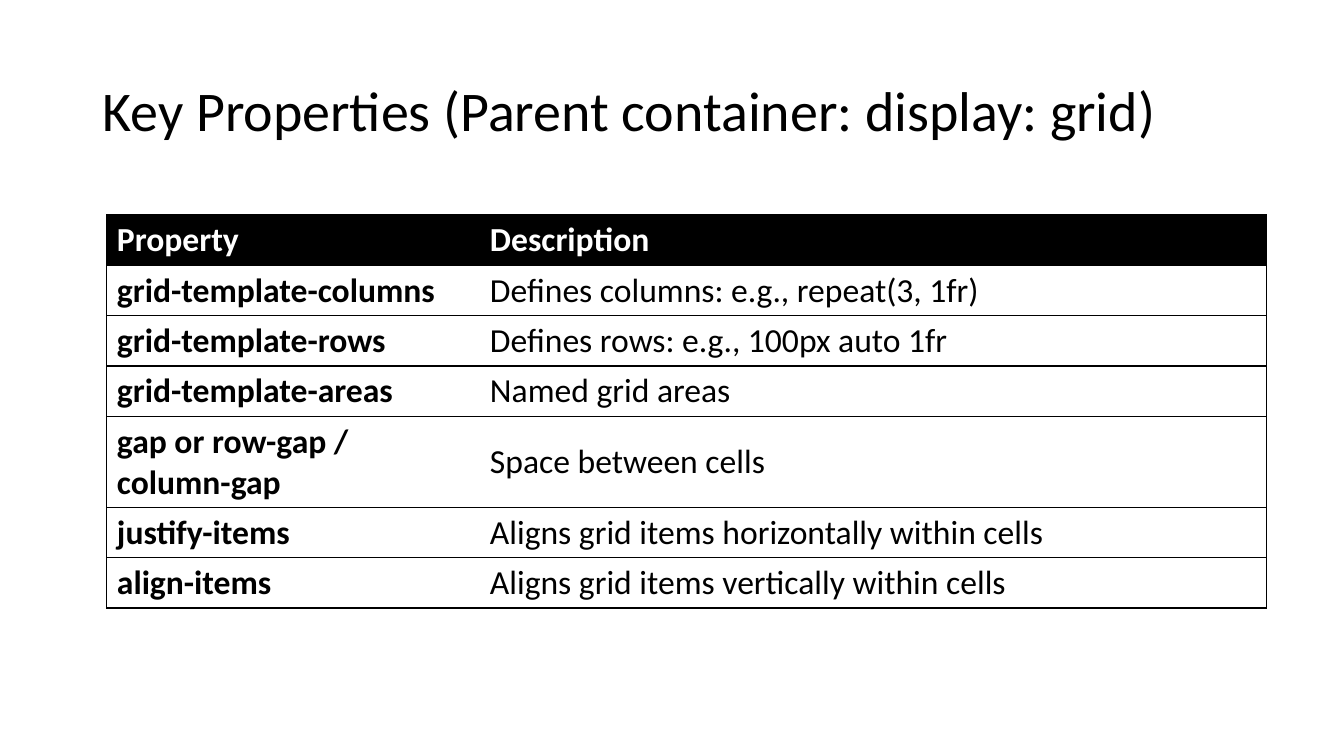
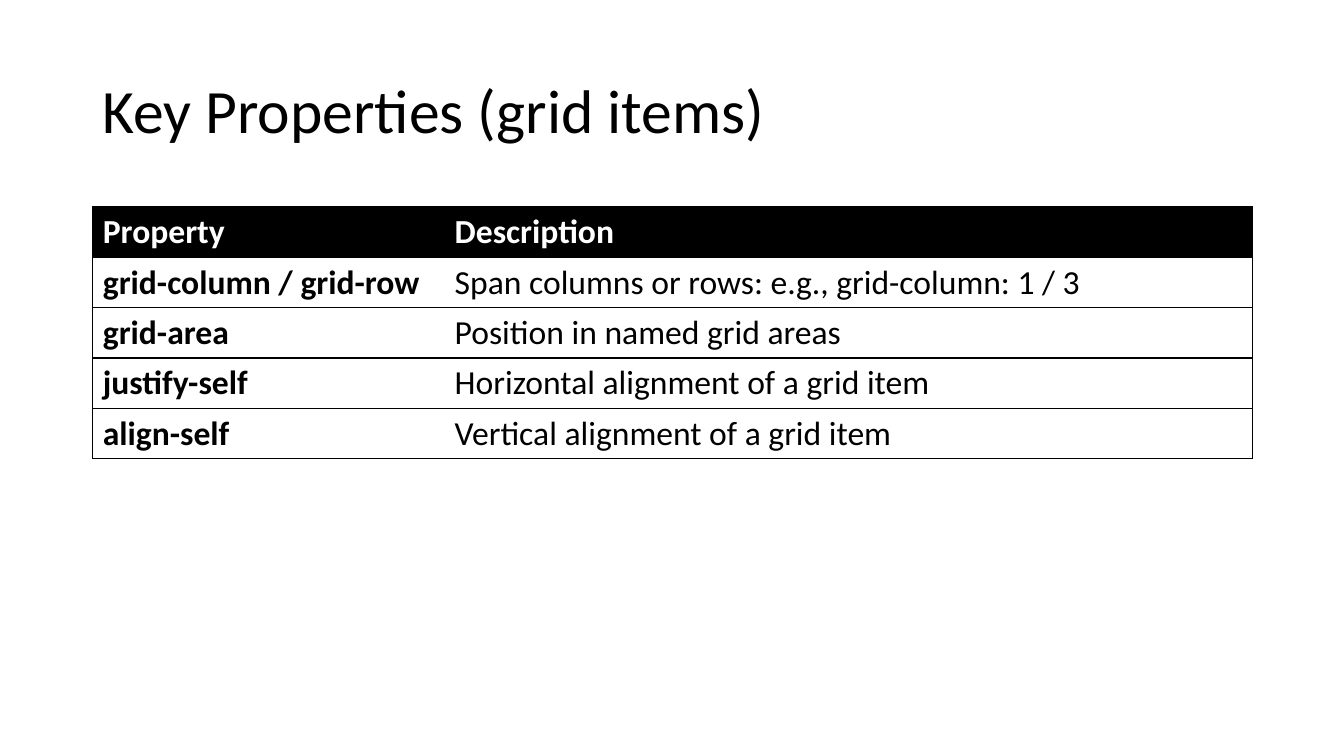
import pptx
import pptx.dml.color
import pptx.enum.text
import pptx.oxml
import pptx.oxml.ns
import pptx.util
from pptx.util import Inches

BLACK = pptx.dml.color.RGBColor(0x00, 0x00, 0x00)
WHITE = pptx.dml.color.RGBColor(0xFF, 0xFF, 0xFF)
FONT = "Calibri"
TABLE_SIZE = 24
TABLE_WIDTH = 11.5
ROW_HEIGHT = 0.5
BORDER_WIDTH = pptx.util.Pt(1)
HEADER = ("Property", "Description")

PARENT_PROPERTIES = [
    ("grid-template-columns", "Defines columns: e.g., repeat(3, 1fr)"),
    ("grid-template-rows", "Defines rows: e.g., 100px auto 1fr"),
    ("grid-template-areas", "Named grid areas"),
    ("gap or row-gap / column-gap", "Space between cells"),
    ("justify-items", "Aligns grid items horizontally within cells"),
    ("align-items", "Aligns grid items vertically within cells"),
]
ITEM_PROPERTIES = [
    ("grid-column / grid-row", "Span columns or rows: e.g., grid-column: 1 / 3"),
    ("grid-area", "Position in named grid areas"),
    ("justify-self", "Horizontal alignment of a grid item"),
    ("align-self", "Vertical alignment of a grid item"),
]


class Deck:
    """Holds the shared style and the current slide."""

    def __init__(self):
        self.presentation = pptx.Presentation()
        self.presentation.slide_width = Inches(13.33)
        self.presentation.slide_height = Inches(7.5)
        self.slide = None

    def add_slide(self):
        self.slide = self.presentation.slides.add_slide(self.presentation.slide_layouts[6])

    def add_run(self, paragraph, text, size, color=BLACK, bold=False):
        run = paragraph.add_run()
        run.text = text
        run.font.name = FONT
        run.font.size = pptx.util.Pt(size)
        run.font.bold = bold
        run.font.color.rgb = color

    def add_title(self, text, size):
        shape = self.slide.shapes.add_textbox(Inches(0.92), Inches(0.4), Inches(11.5), Inches(1.45))
        frame = shape.text_frame
        frame.word_wrap = True
        frame.vertical_anchor = pptx.enum.text.MSO_ANCHOR.MIDDLE
        paragraph = frame.paragraphs[0]
        paragraph.line_spacing = 0.9
        self.add_run(paragraph, text, size)

    def add_borders(self, cell, sides):
        """Draw the named sides (L, R, T, B) and switch the others off."""
        properties = cell._tc.get_or_add_tcPr()
        namespace = pptx.oxml.ns.nsdecls("a")
        for side in "LRTB":
            if side in sides:
                paint = f'<a:solidFill><a:srgbClr val="{BLACK}"/></a:solidFill>'
            else:
                paint = "<a:noFill/>"
            properties.append(pptx.oxml.parse_xml(
                f'<a:ln{side} {namespace} w="{BORDER_WIDTH}">{paint}</a:ln{side}>'))

    def add_cell(self, cell, text, is_header, is_first):
        self.add_borders(cell, "LTB" if is_first else "RTB")
        cell.fill.solid()
        cell.fill.fore_color.rgb = BLACK if is_header else WHITE
        cell.vertical_anchor = pptx.enum.text.MSO_ANCHOR.MIDDLE
        self.add_run(cell.text_frame.paragraphs[0], text, TABLE_SIZE,
                     WHITE if is_header else BLACK, is_header or is_first)

    def add_property_table(self, left, top, first_width, properties):
        rows = [HEADER, *properties]
        table = self.slide.shapes.add_table(
            len(rows), len(HEADER), Inches(left), Inches(top),
            Inches(TABLE_WIDTH), Inches(ROW_HEIGHT * len(rows))).table
        table.horz_banding = False
        table.columns[0].width = Inches(first_width)
        table.columns[1].width = Inches(TABLE_WIDTH - first_width)
        for row_index, row in enumerate(rows):
            for column_index, text in enumerate(row):
                self.add_cell(table.cell(row_index, column_index), text,
                              row_index == 0, column_index == 0)


def main():
    deck = Deck()

    # Properties of the grid container
    deck.add_slide()
    deck.add_title("Key Properties (Parent container: display: grid)", 40)
    deck.add_property_table(1.06, 2.13, 3.7, PARENT_PROPERTIES)

    # Properties of the grid items
    deck.add_slide()
    deck.add_title("Key Properties (grid items)", 44)
    deck.add_property_table(0.92, 2.05, 3.49, ITEM_PROPERTIES)

    deck.presentation.save("out.pptx")


if __name__ == "__main__":
    main()
